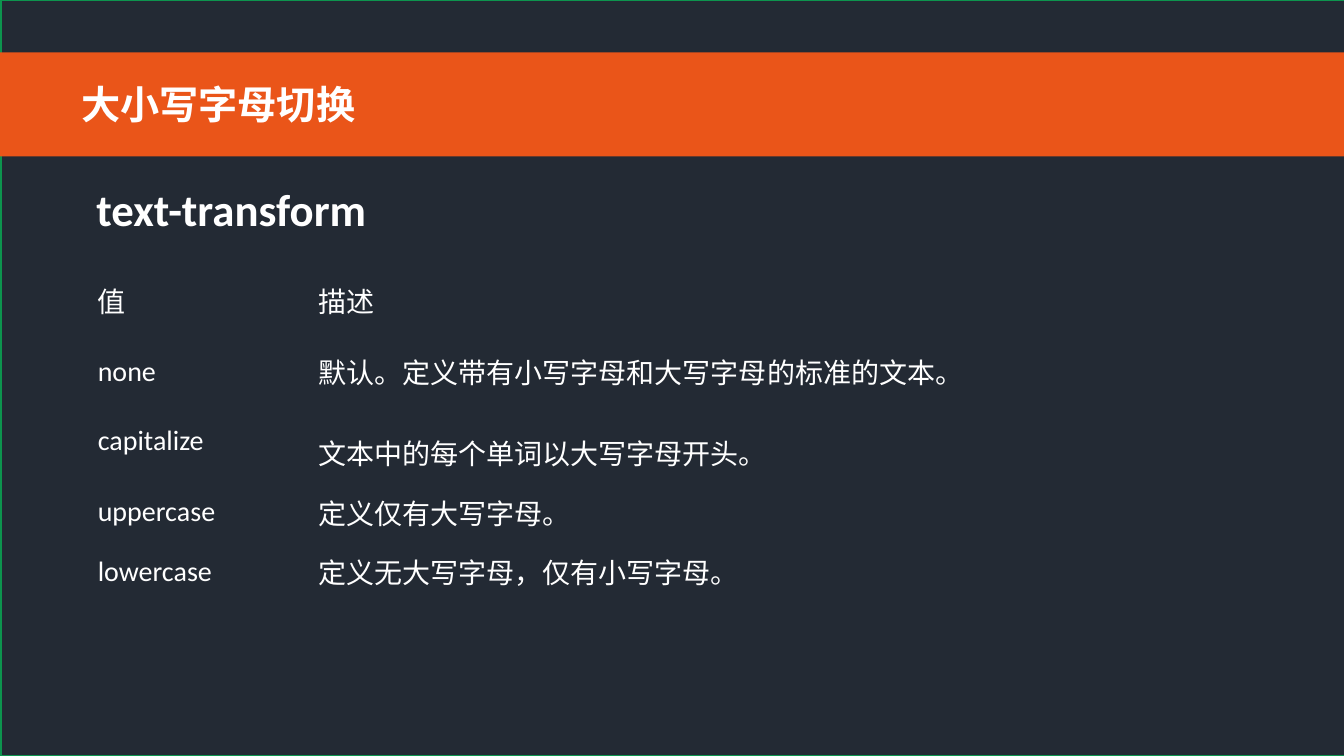
from dataclasses import dataclass

from lxml import etree
from pptx import Presentation
from pptx import util as u
from pptx.dml.color import RGBColor
from pptx.enum import shapes, text
from pptx.oxml import ns

DARK = RGBColor(0x23, 0x2A, 0x34)
GREEN = RGBColor(0x0D, 0x94, 0x4E)
ORANGE = RGBColor(0xEA, 0x55, 0x19)
WHITE = RGBColor(0xFF, 0xFF, 0xFF)

LATIN_FONT = "Calibri"
CHINESE_FONT = "Noto Sans CJK SC"
PLAIN_TABLE_STYLE = "{2D5ABB26-0587-4C30-8999-92F81FD0307C}"

SLIDE_WIDTH = u.Cm(33.87)
SLIDE_HEIGHT = u.Cm(19.05)


@dataclass(frozen=True)
class Panel:
    left: float
    top: float
    height: float
    fill: RGBColor
    line: RGBColor | None = None


@dataclass(frozen=True)
class Heading:
    words: str
    left: float
    top: float
    width: float
    height: float
    size: int
    font: str
    wrap: bool


@dataclass(frozen=True)
class ValueRow:
    value: str
    description: str
    height: float
    value_anchor: text.MSO_ANCHOR = text.MSO_ANCHOR.MIDDLE


PANELS = [
    Panel(0.03, 0, 19.05, DARK, GREEN),
    Panel(0, 1.32, 2.62, ORANGE),
]

HEADINGS = [
    Heading("大小写字母切换", 1.8, 1.91, 17.55, 1.45, 28, CHINESE_FONT, True),
    Heading("text-transform", 2.18, 4.45, 7.67, 1.63, 32, LATIN_FONT, False),
]

COLUMN_WIDTHS = [5.56, 16.99]
VALUE_ROWS = [
    ValueRow("值", "描述", 1.24),
    ValueRow("none", "默认。定义带有小写字母和大写字母的标准的文本。", 2.39),
    ValueRow("capitalize", "文本中的每个单词以大写字母开头。", 1.65, text.MSO_ANCHOR.TOP),
    ValueRow("uppercase", "定义仅有大写字母。", 1.37),
    ValueRow("lowercase", "定义无大写字母，仅有小写字母。", 1.65),
]


def add_run(paragraph, words: str, size: int, font: str, bold: bool = False) -> None:
    run = paragraph.add_run()
    run.text = words
    run.font.size = u.Pt(size)
    run.font.name = font
    run.font.bold = bold
    run.font.color.rgb = WHITE
    east_asian = etree.SubElement(run.font._element, ns.qn("a:ea"))
    east_asian.set("typeface", CHINESE_FONT)


def add_panel(slide, panel: Panel) -> None:
    shape = slide.shapes.add_shape(
        shapes.MSO_SHAPE.RECTANGLE,
        u.Cm(panel.left), u.Cm(panel.top), SLIDE_WIDTH, u.Cm(panel.height),
    )
    shape.shadow.inherit = False
    shape.fill.solid()
    shape.fill.fore_color.rgb = panel.fill
    if panel.line is None:
        shape.line.fill.background()
    else:
        shape.line.color.rgb = panel.line
        shape.line.width = u.Pt(1)


def add_heading(slide, heading: Heading) -> None:
    box = slide.shapes.add_textbox(
        u.Cm(heading.left), u.Cm(heading.top), u.Cm(heading.width), u.Cm(heading.height)
    )
    frame = box.text_frame
    frame.word_wrap = heading.wrap
    frame.auto_size = text.MSO_AUTO_SIZE.SHAPE_TO_FIT_TEXT
    add_run(frame.paragraphs[0], heading.words, heading.size, heading.font, bold=True)


def fill_cell(cell, words: str, anchor: text.MSO_ANCHOR) -> None:
    cell.fill.solid()
    cell.fill.fore_color.rgb = DARK
    cell.vertical_anchor = anchor
    add_run(cell.text_frame.paragraphs[0], words, 20, LATIN_FONT)


def add_value_table(slide, rows: list[ValueRow]) -> None:
    frame = slide.shapes.add_table(
        len(rows), len(COLUMN_WIDTHS), u.Cm(2.21), u.Cm(6.93),
        u.Cm(sum(COLUMN_WIDTHS)), u.Cm(sum(row.height for row in rows)),
    )
    table = frame.table
    table.first_row = False
    table.horz_banding = False
    table._tbl.tblPr.find(ns.qn("a:tableStyleId")).text = PLAIN_TABLE_STYLE
    for column, width in zip(table.columns, COLUMN_WIDTHS):
        column.width = u.Cm(width)
    for table_row, row in zip(table.rows, rows):
        table_row.height = u.Cm(row.height)
        fill_cell(table_row.cells[0], row.value, row.value_anchor)
        fill_cell(table_row.cells[1], row.description, text.MSO_ANCHOR.MIDDLE)


def main() -> None:
    presentation = Presentation()
    presentation.slide_width = SLIDE_WIDTH
    presentation.slide_height = SLIDE_HEIGHT
    slide = presentation.slides.add_slide(presentation.slide_layouts[6])
    for panel in PANELS:
        add_panel(slide, panel)
    for heading in HEADINGS:
        add_heading(slide, heading)
    add_value_table(slide, VALUE_ROWS)
    presentation.save("out.pptx")


if __name__ == "__main__":
    main()
